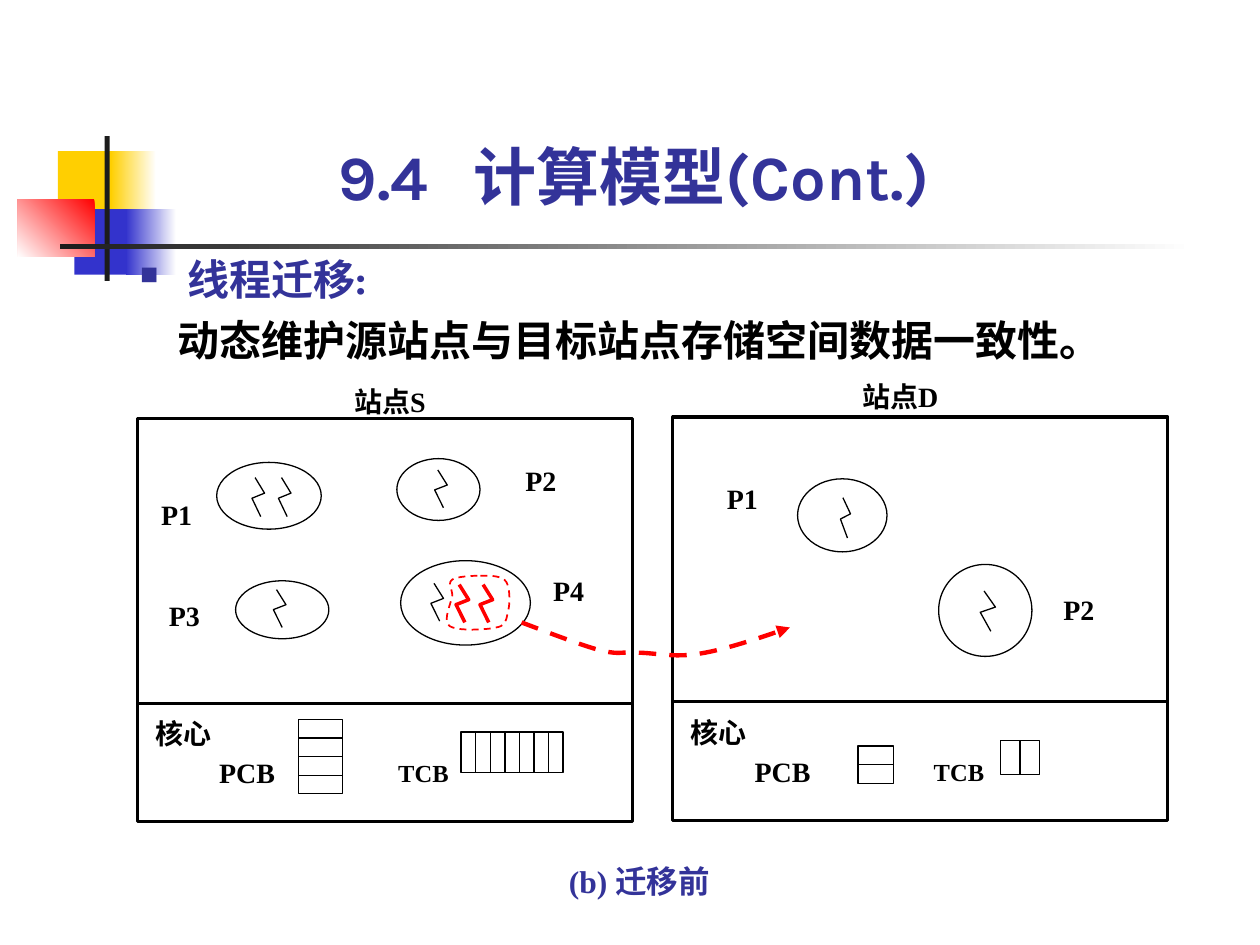
"""Build the thread migration slide: two sites before the migration."""
import dataclasses
import typing

import pptx
import pptx.dml.color
import pptx.enum.dml
import pptx.enum.shapes
import pptx.enum.text
import pptx.oxml
import pptx.oxml.ns
import pptx.util

PX = 9144
COLORS = {"ink": "000000", "title": "333399", "white": "FFFFFF", "gold": "FFCF01",
          "blue": "3333CC", "red": "FF0000", "bar": "1C1C1C"}
SERIF, SANS, HEAD = "Times New Roman", "Noto Sans CJK SC", "Karla"
SHAPES = pptx.enum.shapes.MSO_SHAPE
ALIGN = pptx.enum.text.PP_ALIGN
THIN, THICK = 0.75, 1.75
WIDE, TIGHT, NONE = (10, 5), (2, 1), (0, 0)
BOLT = [(0.25, 0), (1, 0.4), (0, 0.53), (0.7, 1)]
Point = tuple[float, float]


class Area(typing.NamedTuple):
    left: int
    top: int
    width: int
    height: int


class Span(typing.NamedTuple):
    text: str
    size: int = 16
    font: str = SERIF
    color: str = "ink"


@dataclasses.dataclass
class Label:
    area: Area
    spans: list[Span]
    inset: tuple[int, int] = TIGHT
    align: typing.Any = ALIGN.LEFT


@dataclasses.dataclass
class Process:
    area: Area
    bolts: list[Area]


@dataclasses.dataclass
class Site:
    left: int
    top: int
    name: Label
    processes: list[Process]
    labels: list[Label]
    pcb: Area
    pcb_count: int
    tcb: Area
    tcb_count: int


def rgb(name: str) -> pptx.dml.color.RGBColor:
    return pptx.dml.color.RGBColor.from_string(COLORS[name])


def emu(*values: float) -> list[int]:
    return [round(value * PX) for value in values]


def add_xml(parent, *fragments: str) -> None:
    for fragment in fragments:
        tag, _, rest = fragment.partition(" ")
        parent.append(pptx.oxml.parse_xml(f"<a:{tag} {pptx.oxml.ns.nsdecls('a')} {rest}"))


def apply(target, values: dict) -> None:
    for name, value in values.items():
        setattr(target, name, value)


def indent(para, left: int, first: int = 0):
    properties = para._p.get_or_add_pPr()
    properties.set("marL", str(left * PX))
    properties.set("indent", str(first * PX))
    return properties


def add_line(page, start: Point, end: Point, width: float):
    line = page.shapes.add_connector(pptx.enum.shapes.MSO_CONNECTOR.STRAIGHT, *emu(*start, *end))
    line.line.width = pptx.util.Pt(width)
    line.line.color.rgb = rgb("ink")
    add_xml(line._element.spPr, "effectLst />")
    return line


def outline(shape, color: str, width: float) -> None:
    shape.shadow.inherit = False
    shape.fill.background()
    shape.line.color.rgb = rgb(color)
    shape.line.width = pptx.util.Pt(width)


def add_outline(page, kind, area: Area, width: float):
    shape = page.shapes.add_shape(kind, *emu(*area))
    outline(shape, "ink", width)
    return shape


def add_block(page, area: Area, colors: list[str], angle: int = 180) -> None:
    block = page.shapes.add_shape(SHAPES.RECTANGLE, *emu(*area))
    block.shadow.inherit = False
    block.line.fill.background()
    if len(colors) == 1:
        block.fill.solid()
        block.fill.fore_color.rgb = rgb(colors[0])
        return
    block.fill.gradient()
    block.fill.gradient_angle = angle
    for stop, color in zip(block.fill.gradient_stops, colors):
        stop.color.rgb = rgb(color)


def add_path(page, points: list[Point], color: str, width: float, closed: bool = False):
    corners = [tuple(emu(*point)) for point in points]
    builder = page.shapes.build_freeform(*corners[0])
    builder.add_line_segments(corners[1:], close=closed)
    path = builder.convert_to_shape()
    outline(path, color, width)
    return path


def add_bolt(page, area: Area, color: str = "ink", width: float = THIN) -> None:
    add_path(page, [(area.left + x * area.width, area.top + y * area.height) for x, y in BOLT],
             color, width)


def curve(knots: list[Point], steps: int = 10) -> list[Point]:
    points = [knots[0]]
    for first in range(0, len(knots) - 1, 3):
        part = knots[first:first + 4]
        for step in range(1, steps + 1):
            t = step / steps
            weights = ((1 - t) ** 3, 3 * t * (1 - t) ** 2, 3 * t * t * (1 - t), t ** 3)
            points.append(tuple(sum(w * p[axis] for w, p in zip(weights, part)) for axis in (0, 1)))
    return points


def add_spans(para, spans: list[Span]) -> None:
    for span in spans:
        run = para.add_run()
        run.text = span.text
        apply(run.font, {"size": pptx.util.Pt(span.size), "bold": True, "name": span.font})
        run.font.color.rgb = rgb(span.color)
        add_xml(run._r.get_or_add_rPr(), f'ea typeface="{span.font}"/>')


def add_text(page, label: Label):
    box = page.shapes.add_textbox(*emu(*label.area))
    across, down = emu(*label.inset)
    apply(box.text_frame, {"word_wrap": True, "margin_left": across, "margin_right": across,
                           "margin_top": down, "margin_bottom": down})
    para = box.text_frame.paragraphs[0]
    para.alignment = label.align
    add_spans(para, label.spans)
    return box.text_frame


def add_cells(page, area: Area, count: int, stacked: bool) -> None:
    frame = add_outline(page, SHAPES.RECTANGLE, area, THIN)
    left, top, width, height = area
    for index in range(1, count):
        x, y = left + width * index / count, top + height * index / count
        ends = ((left, y), (left + width, y)) if stacked else ((x, top), (x, top + height))
        line = add_line(page, *ends, THIN)
        if index * 2 == count:
            line.begin_connect(frame, 1 if stacked else 0)
            line.end_connect(frame, 3 if stacked else 2)


def add_site(page, site: Site) -> None:
    left, top = site.left, site.top
    add_outline(page, SHAPES.RECTANGLE, Area(left, top, 393, 320), THICK)
    add_line(page, (left, top + 226), (left + 393, top + 226), THICK)
    kernel = [Label(Area(left - 3, top + 232, 79, 36), [Span("核心", font=SANS)], WIDE, ALIGN.CENTER),
              Label(Area(left + 63, top + 267, 56, 30), [Span("PCB")]),
              Label(Area(left + 205, top + 269, 49, 30), [Span("TCB", 14)])]
    for label in [site.name, *kernel, *site.labels]:
        add_text(page, label)
    for process in site.processes:
        add_outline(page, SHAPES.OVAL, process.area, THIN)
        for bolt in process.bolts:
            add_bolt(page, bolt)
    add_cells(page, site.pcb, site.pcb_count, True)
    add_cells(page, site.tcb, site.tcb_count, False)


def site_name(left: int, top: int, letter: str) -> Label:
    return Label(Area(left, top, 93, 32), [Span("站点", font=SANS), Span(letter)], WIDE, ALIGN.CENTER)


def process_name(left: int, top: int, name: str) -> Label:
    return Label(Area(left, top, 53, 27), [Span(name)])


BLOCKS = [(Area(46, 120, 48, 52), ["gold"]), (Area(88, 120, 36, 52), ["white", "gold"]),
          (Area(59, 166, 46, 52), ["blue"]), (Area(100, 166, 40, 52), ["white", "blue"]),
          (Area(14, 158, 61, 46), ["red", "white"], 225), (Area(83, 108, 4, 115), ["bar"]),
          (Area(48, 194, 900, 4), ["white", "bar"])]
SITES = [
    Site(109, 332, site_name(263, 300, "S"),
         [Process(Area(172, 367, 83, 53), [Area(200, 379, 10, 31), Area(221, 379, 10, 31)]),
          Process(Area(315, 364, 66, 49), [Area(345, 373, 10, 30)]),
          Process(Area(187, 461, 74, 46), [Area(217, 468, 10, 30)]),
          Process(Area(318, 445, 103, 67), [Area(342, 463, 10, 30)])],
         [process_name(126, 394, "P1"), process_name(415, 367, "P2"),
          process_name(132, 474, "P3"), process_name(437, 454, "P4")],
         Area(237, 571, 35, 59), 4, Area(366, 581, 81, 32), 7),
    Site(534, 331, site_name(668, 296, "D"),
         [Process(Area(633, 380, 71, 58), [Area(667, 395, 8, 32)]),
          Process(Area(745, 448, 74, 73), [Area(778, 469, 12, 32)])],
         [process_name(575, 381, "P1"), process_name(842, 469, "P2")],
         Area(681, 592, 28, 30), 2, Area(794, 588, 31, 27), 2)]
ROUTE = [(414, 494), (438, 503), (461, 512), (476, 516), (492, 520), (493, 517), (506, 518),
         (519, 518), (534, 522), (554, 519), (574, 516), (601, 507), (627, 498)]
LASSO = [(379, 457), (372, 457), (362, 458), (359, 460), (355, 463), (359, 467), (359, 473),
         (358, 479), (351, 493), (357, 497), (363, 501), (386, 500), (394, 498), (401, 497),
         (402, 492), (403, 486), (405, 480), (405, 468), (402, 462), (398, 456), (386, 457), (379, 457)]


def main() -> None:
    deck = pptx.Presentation()
    apply(deck, {"slide_width": 1000 * PX, "slide_height": 750 * PX})
    page = deck.slides.add_slide(deck.slide_layouts[6])
    for block in BLOCKS:
        add_block(page, *block)
    title = add_text(page, Label(Area(269, 110, 509, 59),
                                 [Span("9.4\t计算模型(Cont.)", 36, HEAD, "title")], NONE))
    title.vertical_anchor = pptx.enum.text.MSO_ANCHOR.BOTTOM
    title.paragraphs[0].line_spacing = 0.8
    add_xml(title.paragraphs[0]._p.get_or_add_pPr(),
            f'tabLst ><a:tab pos="{107 * PX}" algn="l"/></a:tabLst>')
    body = add_text(page, Label(Area(111, 201, 785, 88), [Span("线程迁移:", 24, HEAD, "title")], NONE))
    add_xml(indent(body.paragraphs[0], 38, -38), f'buClr ><a:srgbClr val="{COLORS["title"]}"/></a:buClr>',
            'buSzPct val="60000"/>', 'buChar char="■"/>')
    detail = body.add_paragraph()
    detail.space_before = pptx.util.Pt(6)
    indent(detail, 30)
    add_spans(detail, [Span("动态维护源站点与目标站点存储空间数据一致性。", 24, HEAD)])
    for site in SITES:
        add_site(page, site)
    for left in (362, 381):
        add_bolt(page, Area(left, 464, 10, 30), "red", 2)
    add_text(page, Label(Area(431, 679, 153, 29), [Span("(b) ", 18, SERIF, "title"),
                                                   Span("迁移前", 18, SANS, "title")], WIDE, ALIGN.CENTER))
    route = add_path(page, curve(ROUTE), "red", 2.5)
    lasso = add_path(page, curve(LASSO), "red", 1, True)
    for path in (route, lasso):
        path.line.dash_style = pptx.enum.dml.MSO_LINE.DASH
    add_xml(route.line._get_or_add_ln(), 'tailEnd type="triangle"/>')
    deck.save("out.pptx")


if __name__ == "__main__":
    main()
